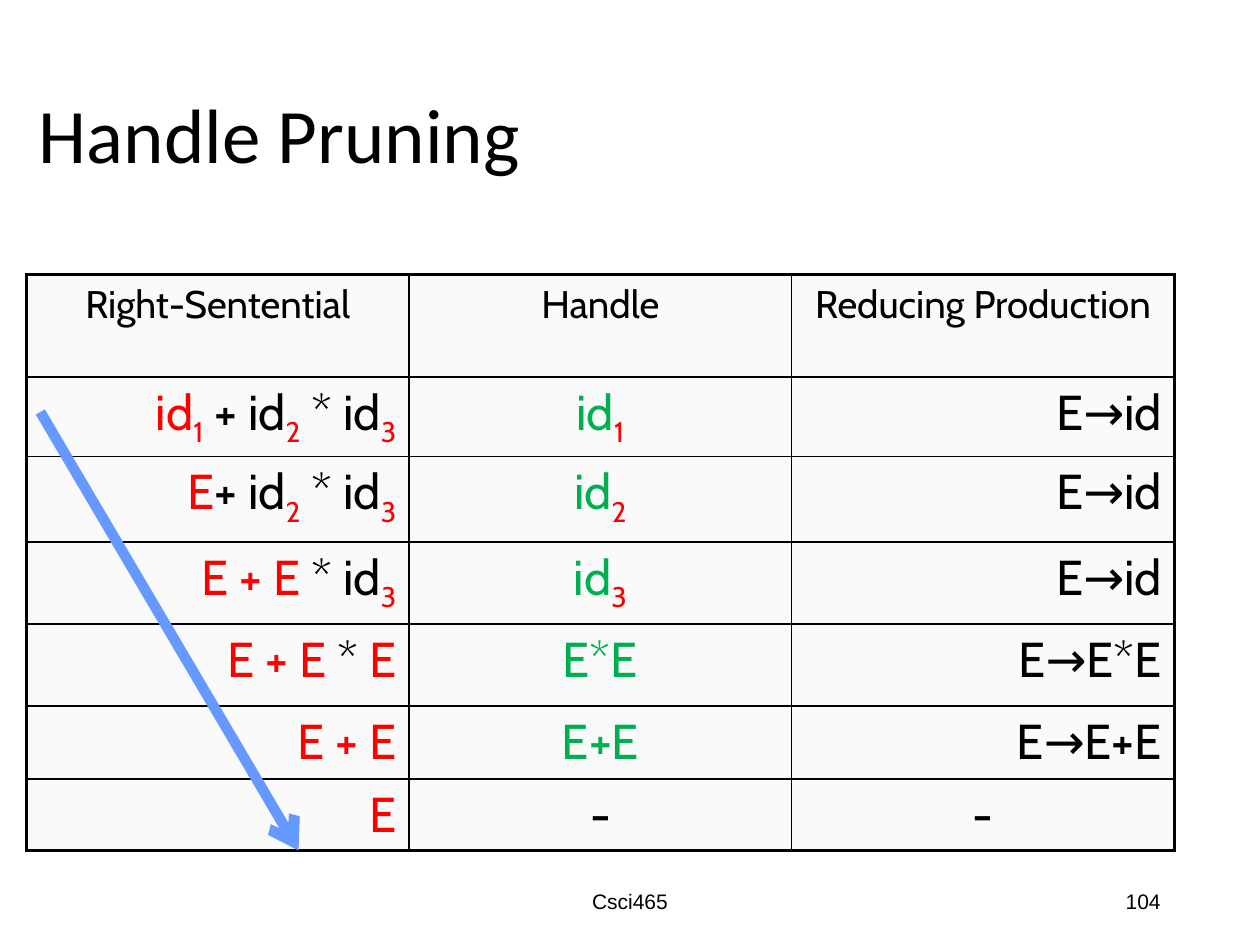
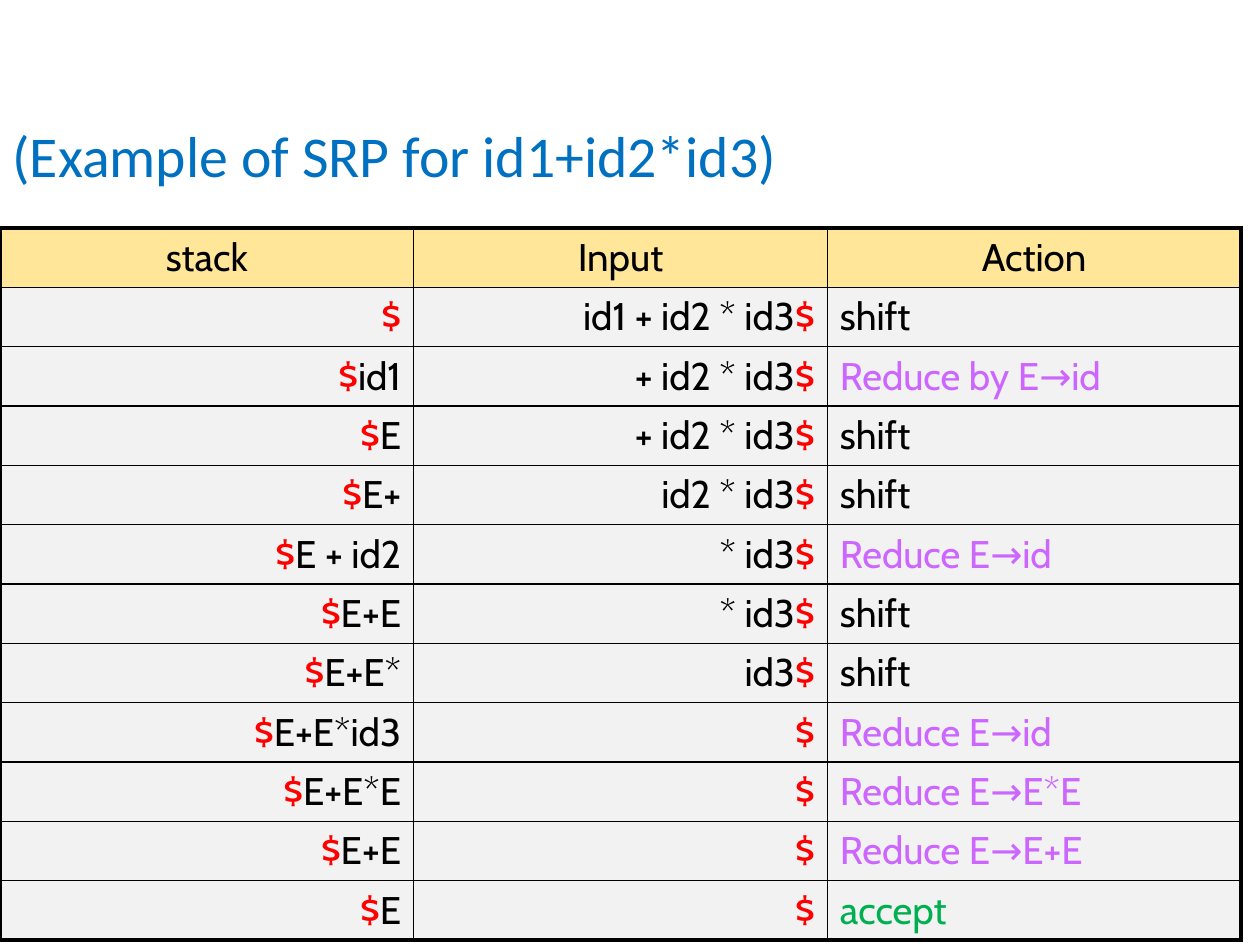
import pptx
import pptx.dml.color
import pptx.enum.shapes
import pptx.enum.text
import pptx.oxml.ns
import pptx.util
from lxml import etree

ALIGN = pptx.enum.text.PP_ALIGN
MIDDLE = pptx.enum.text.MSO_ANCHOR.MIDDLE
WIDTH, HEIGHT = pptx.util.Inches(10), pptx.util.Inches(7.5)
THIN, THICK = 1, 2.25
COLOURS = {
    "black": "000000",
    "red": "FF0000",
    "green": "00B050",
    "blue": "0070C0",
    "violet": "CC66FF",
    "arrow": "6699FF",
    "pale": "FAFAFA",
    "grey": "F2F2F2",
    "sand": "FFE699",
}

PRUNING_HEADS = ["Right-Sentential", "Handle", "Reducing Production"]
PRUNING_ROW_HEIGHTS = [10.8, 7.6, 9.07, 8.67, 8.67, 7.73, 7.6]

PARSE_HEADS = ["stack", "Input", "Action"]
PARSE_STEPS = [
    ("", "id1 + id2 * id3", "shift"),
    ("id1", "+ id2 * id3", "Reduce by E→id"),
    ("E", "+ id2 * id3", "shift"),
    ("E+", "id2 * id3", "shift"),
    ("E + id2", "* id3", "Reduce E→id"),
    ("E+E", "* id3", "shift"),
    ("E+E*", "id3", "shift"),
    ("E+E*id3", "", "Reduce E→id"),
    ("E+E*E", "", "Reduce E→E*E"),
    ("E+E", "", "Reduce E→E+E"),
    ("E", "", "accept"),
]


def across(percent):
    return round(WIDTH * percent / 100)


def down(percent):
    return round(HEIGHT * percent / 100)


def rgb(name):
    return pptx.dml.color.RGBColor.from_string(COLOURS[name])


def add_xml(parent, tag, **attributes):
    return etree.SubElement(parent, pptx.oxml.ns.qn(tag), attributes)


def red(text):
    return text, "red", False


def green(text):
    return text, "green", False


def black(text):
    return text, "black", False


def subscript(text):
    return text, "red", True


def write(frame, spans, *, size, font="Cabin", align=ALIGN.LEFT, line_spacing=None):
    """Fill a text frame with one paragraph of (text, colour, lowered) spans."""
    frame.word_wrap = True
    para = frame.paragraphs[0]
    para.alignment = align
    para.line_spacing = line_spacing
    for text, colour, lowered in spans:
        span = para.add_run()
        span.text = text
        span.font.name = font
        span.font.size = pptx.util.Pt(size)
        span.font.color.rgb = rgb(colour)
        if lowered:
            span.font._element.set("baseline", "-25000")


def add_text(page, text, left, top, width, height, *, colour="black", inset_top=0.05, **text_format):
    box = page.shapes.add_textbox(across(left), down(top), across(width), down(height))
    box.text_frame.vertical_anchor = MIDDLE
    box.text_frame.margin_top = pptx.util.Inches(inset_top)
    write(box.text_frame, [(text, colour, False)], **text_format)


def add_title(page, text, left, top, *, size, **text_format):
    add_text(page, text, left, top, 85.2, 21.33, size=size,
             font="Calibri", line_spacing=0.9, **text_format)


def add_footer(page, course, number):
    add_text(page, course, 33.1, 92.67, 33.8, 5.33, size=12, font="Arial", align=ALIGN.CENTER)
    add_text(page, number, 70.6, 92.67, 22.5, 5.33, size=12, font="Arial", align=ALIGN.RIGHT)


def set_borders(cell, widths):
    """Draw the left, right, top and bottom edges; call before filling the cell."""
    properties = cell._tc.get_or_add_tcPr()
    for side, width in zip("LRTB", widths):
        line = add_xml(properties, f"a:ln{side}", w=str(pptx.util.Pt(width)))
        add_xml(add_xml(line, "a:solidFill"), "a:srgbClr", val=COLOURS["black"])


def add_grid(page, heads, body, *, left, top, width, row_heights,
             head_fill, body_fill, body_size):
    """Add a framed table; each body cell is a pair of alignment and spans."""
    rows = [[(ALIGN.CENTER, [black(head)]) for head in heads]] + body
    last_row, last_column = len(rows) - 1, len(heads) - 1
    table = page.shapes.add_table(len(rows), len(heads), across(left), down(top),
                                  across(width), down(sum(row_heights))).table
    table.first_row = table.horz_banding = False
    for column in table.columns:
        column.width = across(width / len(heads))
    for i, (row, height) in enumerate(zip(rows, row_heights)):
        table.rows[i].height = down(height)
        for j, (align, spans) in enumerate(row):
            cell = table.cell(i, j)
            outer = (j == 0, j == last_column, i == 0, i == last_row)
            set_borders(cell, [THICK if edge else THIN for edge in outer])
            cell.fill.solid()
            cell.fill.fore_color.rgb = rgb(body_fill if i else head_fill)
            write(cell.text_frame, spans, size=body_size if i else 22, align=align)


def add_arrow(page, start, end, *, colour, width):
    arrow = page.shapes.add_connector(
        pptx.enum.shapes.MSO_CONNECTOR.STRAIGHT,
        across(start[0]), down(start[1]), across(end[0]), down(end[1]))
    arrow.line.color.rgb = rgb(colour)
    arrow.line.width = pptx.util.Pt(width)
    add_xml(arrow.line._get_or_add_ln(), "a:tailEnd", type="arrow")
    add_xml(arrow._element.spPr, "a:effectLst")


def pruning_rows():
    sentential_forms = [
        [red("id"), subscript("1"), black(" + id"), subscript("2"), black(" * id"), subscript("3")],
        [red("E"), black("+ id"), subscript("2"), black(" * id"), subscript("3")],
        [red("E + E "), black("* id"), subscript("3")],
        [red("E + E "), black("* "), red("E")],
        [red("E + E")],
        [red("E")],
    ]
    handles = [[green("id"), subscript(digit)] for digit in "123"]
    handles += [[green("E*E")], [green("E+E")], [black("-")]]
    productions = ["E→id"] * 3 + ["E→E*E", "E→E+E", "-"]
    return [
        [(ALIGN.RIGHT, form), (ALIGN.CENTER, handle),
         (ALIGN.CENTER if production == "-" else ALIGN.RIGHT, [black(production)])]
        for form, handle, production in zip(sentential_forms, handles, productions)
    ]


def action_span(action):
    if action.startswith("Reduce"):
        return action, "violet", False
    return green(action) if action == "accept" else black(action)


def parse_rows():
    """Mark the stack bottom and the input end with a red dollar sign."""
    rows = []
    for stack, remaining, action in PARSE_STEPS:
        stack_spans = [red("$")] + ([black(stack)] if stack else [])
        input_spans = ([black(remaining)] if remaining else []) + [red("$")]
        rows.append([(ALIGN.RIGHT, stack_spans), (ALIGN.RIGHT, input_spans),
                     (ALIGN.LEFT, [action_span(action)])])
    return rows


def build_handle_pruning(page):
    add_footer(page, "Csci465", "104")
    add_title(page, "Handle Pruning", 2.1, 4, size=44)
    add_grid(page, PRUNING_HEADS, pruning_rows(), left=2.1, top=29.07, width=91.1,
             row_heights=PRUNING_ROW_HEIGHTS, head_fill="pale", body_fill="pale", body_size=28)
    add_arrow(page, (3.2, 43.6), (23.7, 90), colour="arrow", width=6)


def build_parse_example(page):
    add_title(page, "(Example of SRP for id1+id2*id3)", 0, 2.8, size=33,
              colour="blue", inset_top=0.55)
    add_grid(page, PARSE_HEADS, parse_rows(), left=0, top=24.13, width=98.5,
             row_heights=[6.28] * (len(PARSE_STEPS) + 1),
             head_fill="sand", body_fill="grey", body_size=22)


def main():
    deck = pptx.Presentation()
    deck.slide_width, deck.slide_height = WIDTH, HEIGHT
    blank = deck.slide_layouts[6]
    for build in (build_handle_pruning, build_parse_example):
        build(deck.slides.add_slide(blank))
    deck.save("out.pptx")


if __name__ == "__main__":
    main()
